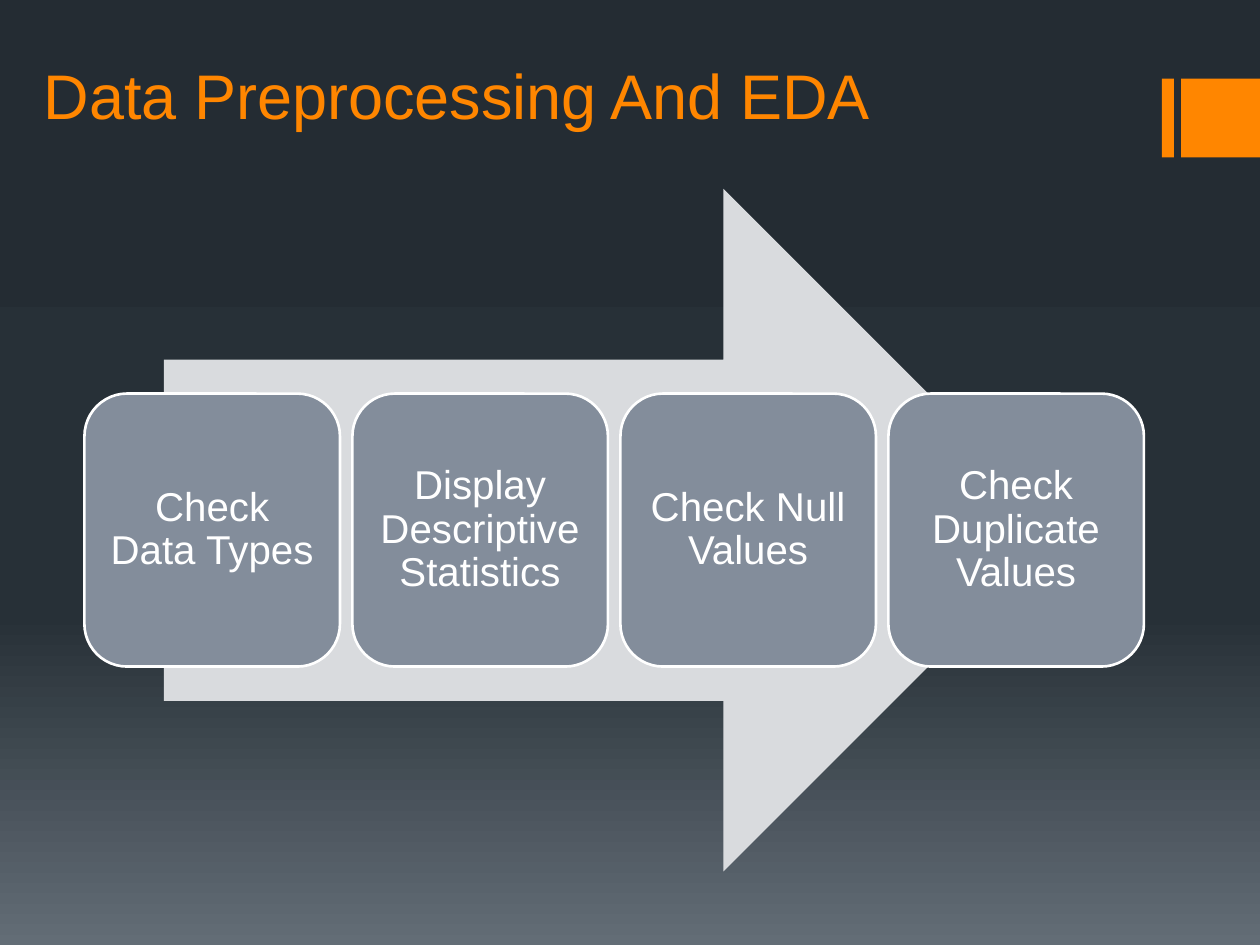
import copy
from dataclasses import dataclass

import pptx
import pptx.dml.color
import pptx.enum.shapes
import pptx.enum.text
import pptx.oxml.ns
import pptx.util

Pt = pptx.util.Pt
ShapeKind = pptx.enum.shapes.MSO_SHAPE
Align = pptx.enum.text.PP_ALIGN
Anchor = pptx.enum.text.MSO_ANCHOR


@dataclass(frozen=True)
class Theme:
    accent: str = "FF8600"
    arrow: str = "D9DBDE"
    step: str = "838D9B"
    white: str = "FFFFFF"
    background: tuple = ((0, "242C33"), (0.65, "273037"), (1, "636D76"))
    font: str = "Arial"
    title_size: float = 36
    step_size: float = 23


@dataclass(frozen=True)
class Box:
    left: float
    top: float
    width: float
    height: float

    def lengths(self) -> tuple:
        return Pt(self.left), Pt(self.top), Pt(self.width), Pt(self.height)


THEME = Theme()
TITLE = Box(18, 18, 576, 61.2)
ACCENT_BARS = (Box(664, 45, 6.8, 45), Box(675, 45, 45, 45))
ARROW = Box(93.6, 108, 514.8, 390)
FIRST_STEP = Box(48.24, 224.9, 146, 156)
STEP_PITCH = 153.14
STEPS = (
    "Check Data Types",
    "Display Descriptive Statistics",
    "Check Null Values",
    "Check Duplicate Values",
)


def rgb(value: str) -> pptx.dml.color.RGBColor:
    return pptx.dml.color.RGBColor.from_string(value)


def paint_background(page) -> None:
    """Fill the page with a three-stop gradient running from top to bottom."""
    fill = page.background.fill
    fill.gradient()
    fill.gradient_angle = 270
    stop_list = page.element.find(".//" + pptx.oxml.ns.qn("a:gsLst"))
    stop_list.insert(1, copy.deepcopy(stop_list[0]))
    for stop, (position, color) in zip(fill.gradient_stops, THEME.background):
        stop.position = position
        stop.color.rgb = rgb(color)


def add_block(page, kind, box: Box, fill: str, line: str | None = None):
    shape = page.shapes.add_shape(kind, *box.lengths())
    shape.shadow.inherit = False
    shape.fill.solid()
    shape.fill.fore_color.rgb = rgb(fill)
    if line:
        shape.line.color.rgb = rgb(line)
        shape.line.width = Pt(1.5)
    else:
        shape.line.fill.background()
    return shape


def write_text(shape, text: str, *, size: float, color: str, align=Align.LEFT,
               anchor=Anchor.MIDDLE, inset: float = 7.2,
               vertical_inset: float = 7.2, spacing: float = 1.0) -> None:
    frame = shape.text_frame
    frame.word_wrap = True
    frame.vertical_anchor = anchor
    frame.margin_left = frame.margin_right = Pt(inset)
    frame.margin_top = frame.margin_bottom = Pt(vertical_inset)
    para = frame.paragraphs[0]
    para.alignment = align
    para.line_spacing = spacing
    span = para.add_run()
    span.text = text
    span.font.name = THEME.font
    span.font.size = Pt(size)
    span.font.color.rgb = rgb(color)


def main() -> None:
    deck = pptx.Presentation()
    deck.slide_width, deck.slide_height = Pt(720), Pt(540)
    page = deck.slides.add_slide(deck.slide_layouts[6])
    paint_background(page)

    for bar in ACCENT_BARS:
        add_block(page, ShapeKind.RECTANGLE, bar, THEME.accent)
    title = page.shapes.add_textbox(*TITLE.lengths())
    write_text(title, "Data Preprocessing And EDA", size=THEME.title_size,
               color=THEME.accent, anchor=Anchor.BOTTOM, vertical_inset=3.6)

    add_block(page, ShapeKind.RIGHT_ARROW, ARROW, THEME.arrow)
    for index, text in enumerate(STEPS):
        box = Box(FIRST_STEP.left + index * STEP_PITCH, FIRST_STEP.top,
                  FIRST_STEP.width, FIRST_STEP.height)
        step = add_block(page, ShapeKind.ROUNDED_RECTANGLE, box, THEME.step,
                         line=THEME.white)
        write_text(step, text, size=THEME.step_size, color=THEME.white,
                   align=Align.CENTER, spacing=0.9)

    deck.save("out.pptx")


if __name__ == "__main__":
    main()
